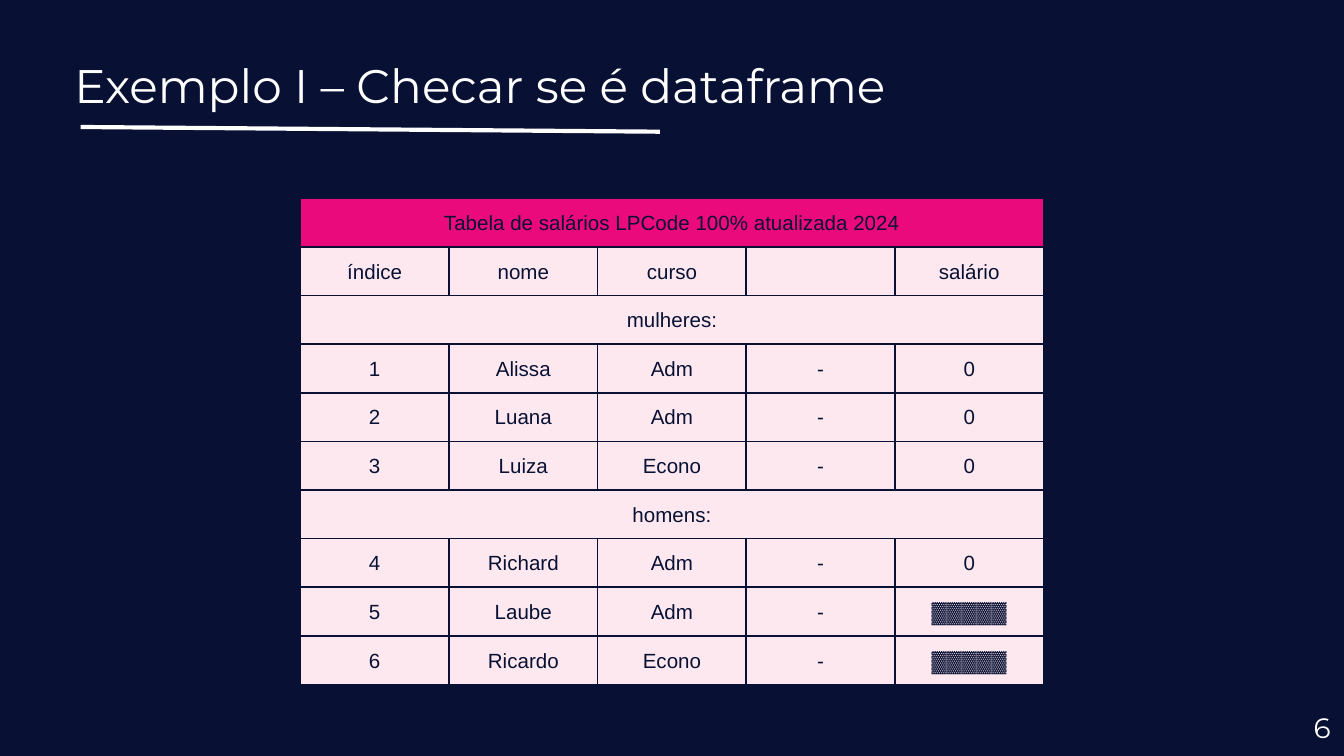
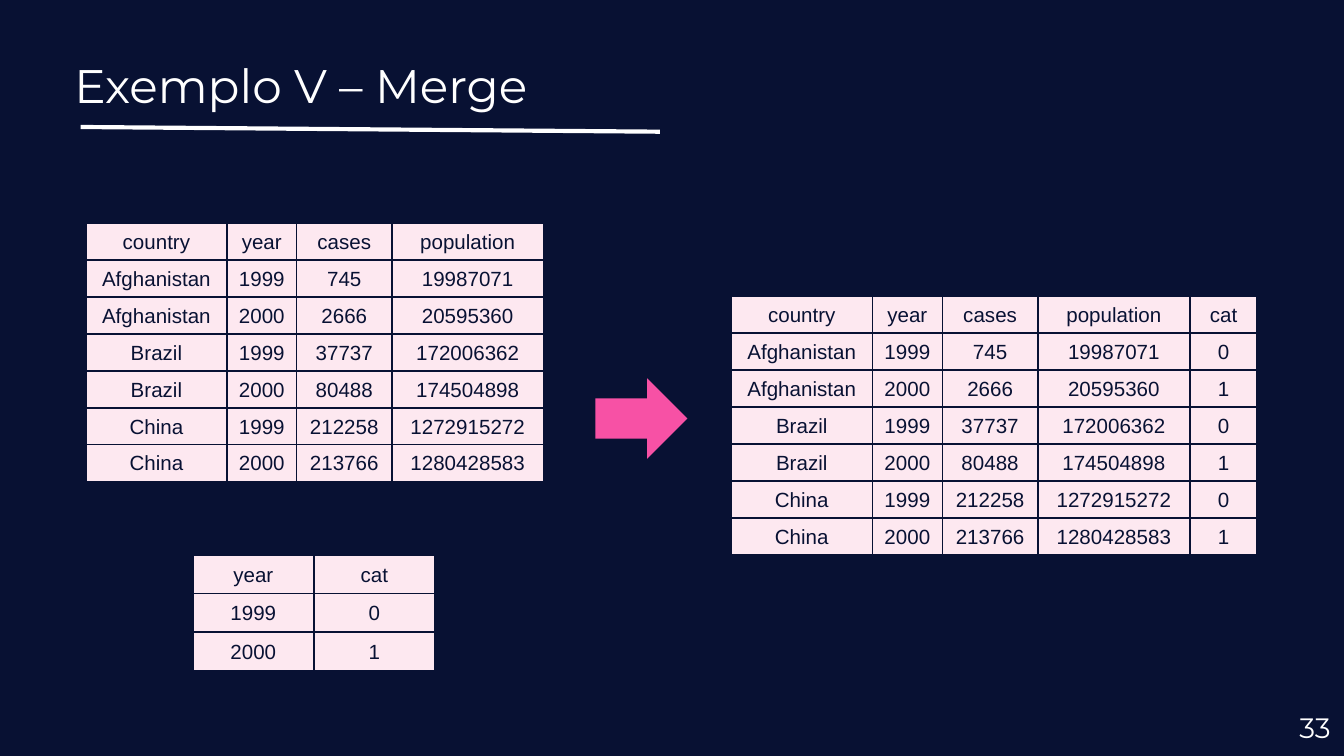
from lxml import etree
from pptx import Presentation
from pptx import util as u
from pptx.dml.color import RGBColor
from pptx.enum import shapes, text
from pptx.oxml.ns import qn

PX = 4572  # 200 px to the inch
W, H = 2000, 1125
COLORS = {
    "navy": "081133",
    "white": "FFFFFF",
    "header": "EB0A7C",
    "cell": "FDE8F0",
    "arrow": "F751A5",
}
TITLE = {"name": "Montserrat", "size": u.Pt(25.2)}
NUMBER = {"name": "Montserrat", "size": u.Pt(15)}
CELL = {"name": "Arial", "size": u.Pt(11)}
TEXT_MARGINS = dict.fromkeys(
    ("margin_left", "margin_right", "margin_top", "margin_bottom"), 20 * PX)
CELL_MARGINS = {**dict.fromkeys(TEXT_MARGINS, 2 * PX), "margin_bottom": 0}

HIDDEN = "▓▓▓▓▓"
SALARIES = [  # a row with one value spans the table
    ("Tabela de salários LPCode 100% atualizada 2024",),
    ("índice", "nome", "curso", "", "salário"),
    ("mulheres:",),
    ("1", "Alissa", "Adm", "-", "0"),
    ("2", "Luana", "Adm", "-", "0"),
    ("3", "Luiza", "Econo", "-", "0"),
    ("homens:",),
    ("4", "Richard", "Adm", "-", "0"),
    ("5", "Laube", "Adm", "-", HIDDEN),
    ("6", "Ricardo", "Econo", "-", HIDDEN),
]
CASES = [
    ("country", "year", "cases", "population"),
    ("Afghanistan", "1999", "745", "19987071"),
    ("Afghanistan", "2000", "2666", "20595360"),
    ("Brazil", "1999", "37737", "172006362"),
    ("Brazil", "2000", "80488", "174504898"),
    ("China", "1999", "212258", "1272915272"),
    ("China", "2000", "213766", "1280428583"),
]
CATEGORIES = [("year", "cat"), ("1999", "0"), ("2000", "1")]
CATEGORY_OF = dict(CATEGORIES)
MERGED = [(*row, CATEGORY_OF[row[1]]) for row in CASES]


def rgb(name):
    return RGBColor.from_string(COLORS[name])


def emu(box):
    return [v * PX for v in box]


def set_attrs(obj, values):
    for name, value in values.items():
        setattr(obj, name, value)


def write(p, content, font, color, align):
    p.alignment = align
    r = p.add_run()
    r.text = content
    set_attrs(r.font, font)
    r.font.color.rgb = rgb(color)


def add_text(s, box, content, font, align, anchor):
    tf = s.shapes.add_textbox(*emu(box)).text_frame
    set_attrs(tf, {"word_wrap": True, "vertical_anchor": anchor, **TEXT_MARGINS})
    write(tf.paragraphs[0], content, font, "white", align)


def add_borders(cell):
    tc_pr = cell._tc.get_or_add_tcPr()
    for side in "LRTB":
        ln = etree.SubElement(tc_pr, qn(f"a:ln{side}"), w=str(u.Pt(1)))
        fill = etree.SubElement(ln, qn("a:solidFill"))
        etree.SubElement(fill, qn("a:srgbClr"), val=COLORS["navy"])


def add_grid(s, box, rows, weights, header="cell"):
    """Fill the box with equal rows and columns in proportion to weights."""
    x, y, w, h = emu(box)
    table = s.shapes.add_table(len(rows), len(weights), x, y, w, h).table
    for col, weight in zip(table.columns, weights):
        col.width = w * weight // sum(weights)
    for i, values in enumerate(rows):
        table.rows[i].height = h // len(rows)
        for cell in table.rows[i].cells:
            add_borders(cell)
            cell.fill.solid()
            cell.fill.fore_color.rgb = rgb("cell" if i else header)
            set_attrs(cell, CELL_MARGINS)
            cell.vertical_anchor = text.MSO_ANCHOR.MIDDLE
        if len(values) == 1:
            table.cell(i, 0).merge(table.cell(i, len(weights) - 1))
        for j, value in enumerate(values):
            p = table.cell(i, j).text_frame.paragraphs[0]
            write(p, value, CELL, "navy", text.PP_ALIGN.CENTER)


def add_arrow(s, box):
    sp = s.shapes.add_shape(shapes.MSO_SHAPE.RIGHT_ARROW, *emu(box))
    sp.shadow.inherit = False
    sp.fill.solid()
    sp.fill.fore_color.rgb = rgb("arrow")
    sp.line.fill.background()


def add_slide(prs, title, number):
    """Add a slide with the shared background, title, rule and number."""
    s = prs.slides.add_slide(prs.slide_layouts[6])
    s.background.fill.solid()
    s.background.fill.fore_color.rgb = rgb("navy")
    rule = s.shapes.add_connector(shapes.MSO_CONNECTOR.STRAIGHT, *emu((120, 189, 982, 196)))
    rule.line.color.rgb = rgb("white")
    rule.line.width = u.Pt(2.25)
    etree.SubElement(rule._element.spPr, qn("a:effectLst"))
    add_text(s, (91, 64, 1864, 126), title, TITLE, text.PP_ALIGN.LEFT, text.MSO_ANCHOR.TOP)
    add_text(s, (W - 120, H - 86, 120, 86), str(number), NUMBER,
             text.PP_ALIGN.RIGHT, text.MSO_ANCHOR.MIDDLE)
    return s


def salary_slide(prs):
    s = add_slide(prs, "Exemplo I – Checar se é dataframe", 6)
    add_grid(s, (447, 295, 1106, 724), SALARIES, [1] * 5, header="header")


def merge_slide(prs):
    s = add_slide(prs, "Exemplo V – Merge", 33)
    widths = [105, 52, 71, 113]
    add_grid(s, (128, 332, 681, 385), CASES, widths)
    add_grid(s, (287, 826, 360, 172), CATEGORIES, [1, 1])
    add_grid(s, (1088, 441, 783, 385), MERGED, widths + [50])
    add_arrow(s, (886, 563, 137, 120))


def main():
    prs = Presentation()
    prs.slide_width, prs.slide_height = emu((W, H))
    salary_slide(prs)
    merge_slide(prs)
    prs.save("out.pptx")


if __name__ == "__main__":
    main()
